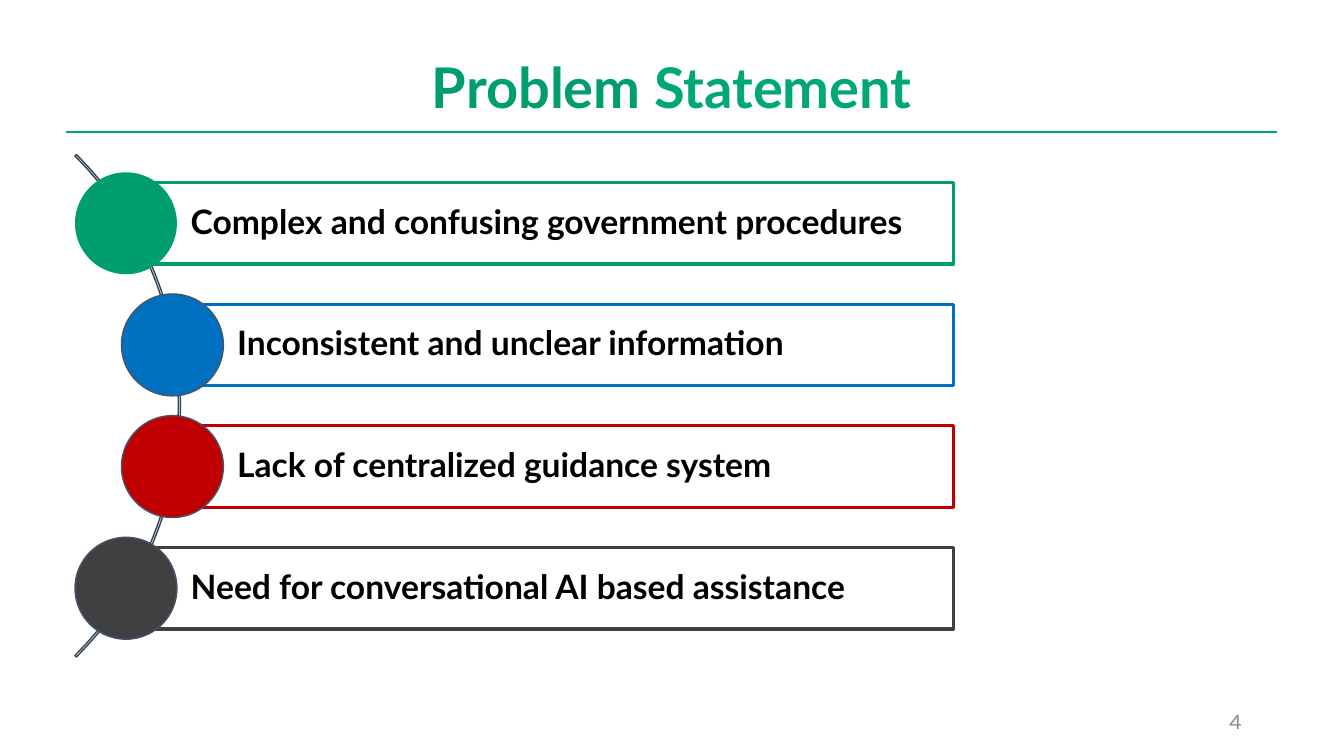
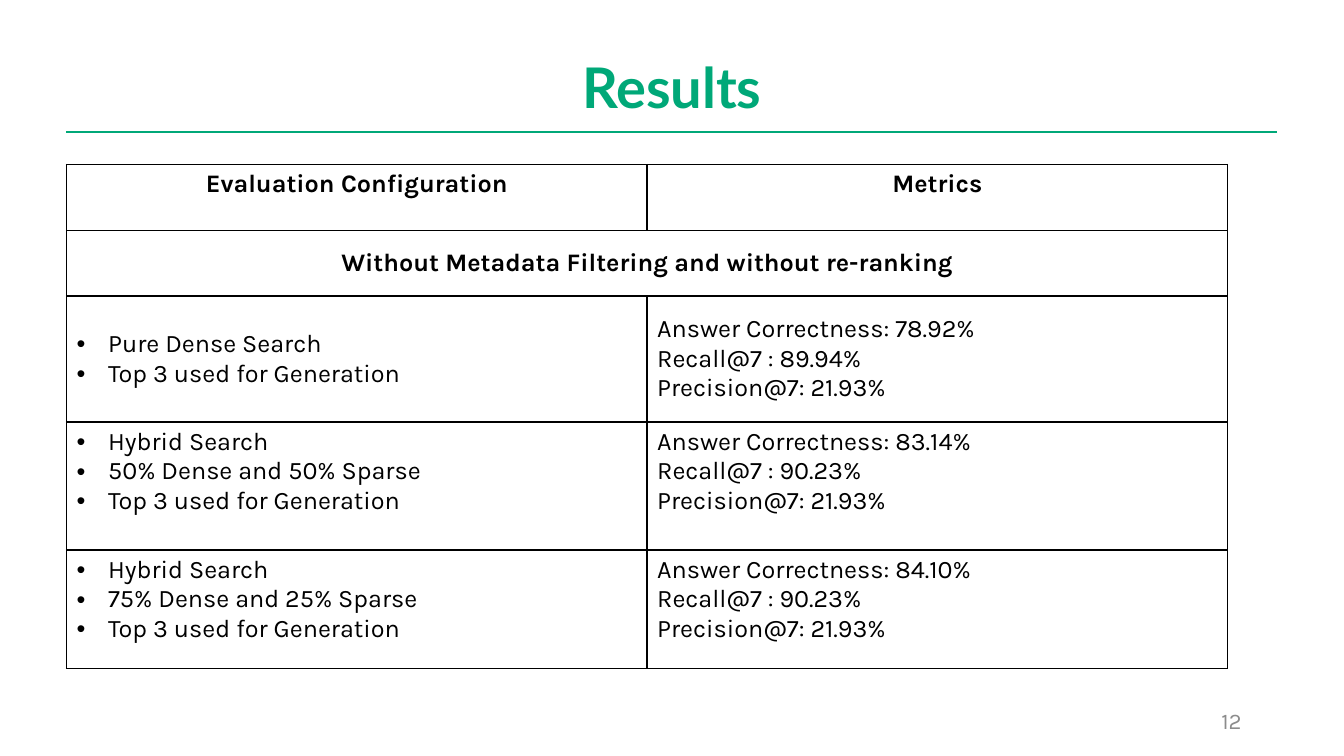
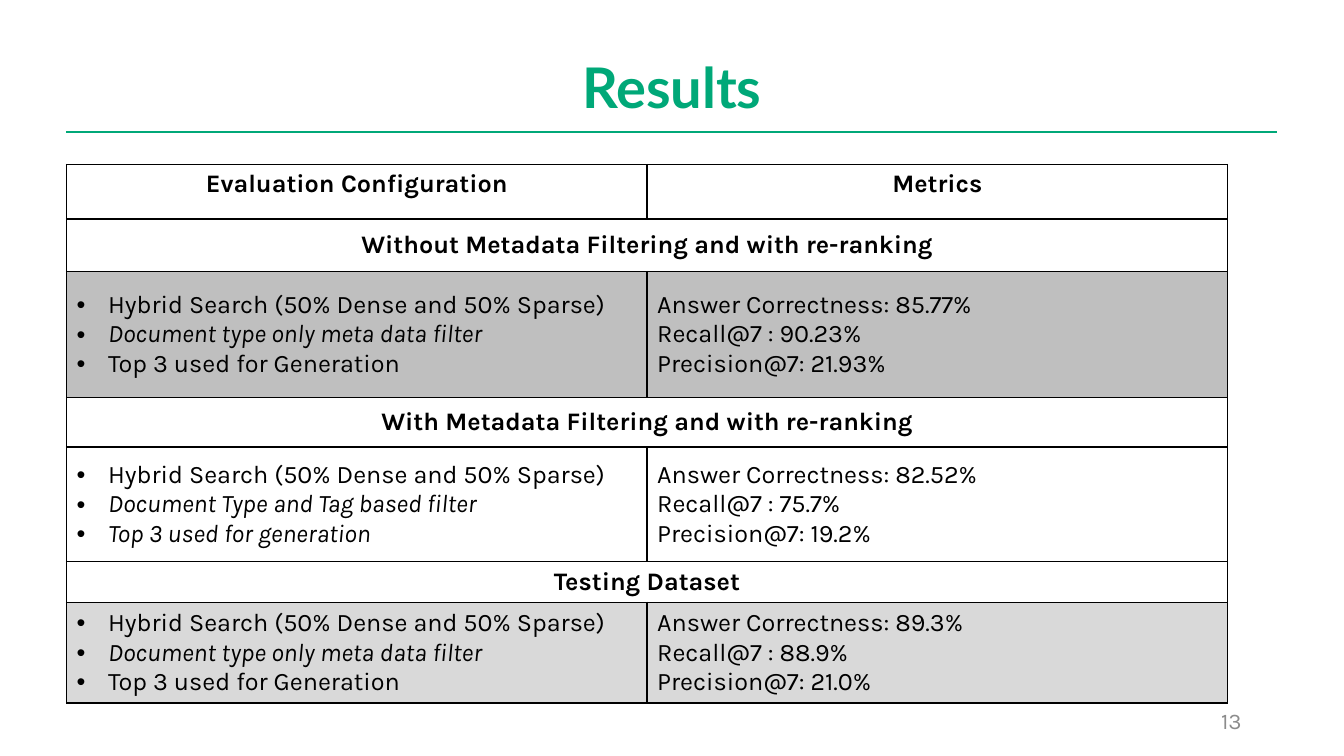
from dataclasses import dataclass

from lxml import etree
from pptx import Presentation
from pptx.dml.color import RGBColor
from pptx.enum.shapes import MSO_CONNECTOR, MSO_SHAPE
from pptx.enum.text import MSO_ANCHOR, PP_ALIGN
from pptx.oxml.ns import qn
from pptx.slide import Slide
from pptx.table import _Cell
from pptx.text.text import TextFrame, _Paragraph
from pptx.util import Pt

LINE = MSO_CONNECTOR.STRAIGHT
RECT, OVAL, ARC = MSO_SHAPE.RECTANGLE, MSO_SHAPE.OVAL, MSO_SHAPE.BLOCK_ARC
TOP, MIDDLE = MSO_ANCHOR.TOP, MSO_ANCHOR.MIDDLE
LEFT, CENTER, RIGHT = PP_ALIGN.LEFT, PP_ALIGN.CENTER, PP_ALIGN.RIGHT

GREEN = RGBColor(0x00, 0xA8, 0x78)
FOREST = RGBColor(0x00, 0x9E, 0x6F)
BLUE = RGBColor(0x00, 0x70, 0xC0)
RED = RGBColor(0xC0, 0x00, 0x00)
DARK = RGBColor(0x40, 0x40, 0x40)
SLATE = RGBColor(0x44, 0x54, 0x6A)
NAVY = RGBColor(0x36, 0x43, 0x55)
BLACK = RGBColor(0x00, 0x00, 0x00)
GRAY = RGBColor(0x8C, 0x8C, 0x8C)
SILVER = RGBColor(0xBF, 0xBF, 0xBF)
PALE = RGBColor(0xD9, 0xD9, 0xD9)

HEAD, BODY = "Lato", "Karla"
EDGE, WIDTH, RULE = 47.5, 864.7, 94.3  # left, width and height of the title rule

BAR_END, BAR_H, BALL = 681.1, 58.2, 72.8
BAR_MID, PITCH = 159.5, 86.9  # centre of the first bar, step to the next
RING_X, RING_Y, RING = -378.7, 36, 507.6

GRID_TOP, COLUMN, INDENT = 117.4, 414.7, 22.5


@dataclass
class Issue:
    text: str
    left: float
    color: RGBColor
    rim: RGBColor | None = SLATE


@dataclass
class Band:
    """A table row with one heading across both columns."""
    height: float
    text: str


@dataclass
class Result:
    height: float
    setup: tuple[str, ...]
    scores: tuple[str, str, str]
    fill: RGBColor | None = None
    anchor: MSO_ANCHOR = MIDDLE
    slant: tuple[int, ...] = ()  # setup lines in italics


@dataclass
class Report:
    page: int
    top: float  # height of the header row
    rows: list[Band | Result]


ISSUES = [
    Issue("Complex and confusing government procedures", 90, FOREST, None),
    Issue("Inconsistent and unclear information", 123.2, BLUE),
    Issue("Lack of centralized guidance system", 123.2, RED),
    Issue("Need for conversational AI based assistance", 90, DARK),
]

TOP_3 = "Top 3 used for Generation"
HYBRID = "Hybrid Search"
EVEN = "Hybrid Search (50% Dense and 50% Sparse)"
BY_TYPE = (EVEN, "Document type only meta data filter", TOP_3)
BY_TAG = (EVEN, "Document Type and Tag based filter", "Top 3 used for generation")

REPORTS = [
    Report(12, 47, [
        Band(47, "Without Metadata Filtering and without re-ranking"),
        Result(90, ("Pure Dense Search", TOP_3), ("78.92", "89.94", "21.93")),
        Result(91.5, (HYBRID, "50% Dense and 50% Sparse", TOP_3),
               ("83.14", "90.23", "21.93"), anchor=TOP),
        Result(84.4, (HYBRID, "75% Dense and 25% Sparse", TOP_3),
               ("84.10", "90.23", "21.93"), anchor=TOP),
    ]),
    Report(13, 39, [
        Band(37.5, "Without Metadata Filtering and with re-ranking"),
        Result(90, BY_TYPE, ("85.77", "90.23", "21.93"), SILVER, slant=(1,)),
        Band(35.5, "With Metadata Filtering and with re-ranking"),
        Result(82, BY_TAG, ("82.52", "75.7", "19.2"), slant=(1, 2)),
        Band(28.3, "Testing Dataset"),
        Result(70.5, BY_TYPE, ("89.3", "88.9", "21.0"), PALE, slant=(1,)),
    ]),
]


def style(para: _Paragraph, face: str, size: float, color: RGBColor | None,
          bold: bool = False, align: PP_ALIGN = LEFT) -> None:
    para.alignment = align
    font = para.font
    font.name, font.size, font.bold = face, Pt(size), bold
    if color is not None:
        font.color.rgb = color


def add_box(slide: Slide, x: float, y: float, w: float, h: float) -> TextFrame:
    frame = slide.shapes.add_textbox(Pt(x), Pt(y), Pt(w), Pt(h)).text_frame
    frame.word_wrap = True
    frame.vertical_anchor = MIDDLE
    return frame


def add_shape(slide: Slide, kind: MSO_SHAPE, x: float, y: float, w: float, h: float,
              fill: RGBColor | None, line: RGBColor | None, weight: float = 1):
    shape = slide.shapes.add_shape(kind, Pt(x), Pt(y), Pt(w), Pt(h))
    shape.shadow.inherit = False
    paint(shape.fill, fill)
    paint(shape.line.fill, line)
    if line is not None:
        shape.line.width = Pt(weight)
    return shape


def paint(fill, color: RGBColor | None) -> None:
    if color is None:
        fill.background()
    else:
        fill.solid()
        fill.fore_color.rgb = color


def add_page(deck, number: int, title: list[tuple[str, RGBColor]]) -> Slide:
    """Add a slide with the shared title, rule and page number."""
    slide = deck.slides.add_slide(deck.slide_layouts[6])
    rule = slide.shapes.add_connector(LINE, Pt(EDGE), Pt(RULE), Pt(EDGE + WIDTH), Pt(RULE))
    rule.line.color.rgb = GREEN
    rule.line.width = Pt(2)
    etree.SubElement(rule._element.spPr, qn("a:effectLst"))

    para = add_box(slide, EDGE, 35.3, WIDTH, 59).paragraphs[0]
    style(para, HEAD, 40, None, True, CENTER)
    para.line_spacing = 0.9
    for text, color in title:
        run = para.add_run()
        run.text = text
        run.font.color.rgb = color

    para = add_box(slide, 678, 500.5, 216, 28.8).paragraphs[0]
    para.text = str(number)
    style(para, BODY, 16, GRAY, align=RIGHT)
    return slide


def add_issue(slide: Slide, issue: Issue, mid: float) -> None:
    """Draw a labelled bar with a ball centred on its left end."""
    bar = add_shape(slide, RECT, issue.left, mid - BAR_H / 2, BAR_END - issue.left, BAR_H,
                    None, issue.color, 2.25)
    frame = bar.text_frame
    frame.word_wrap = True
    frame.vertical_anchor = MIDDLE
    frame.margin_left = Pt(46.2)
    frame.margin_right = frame.margin_top = frame.margin_bottom = Pt(5)
    para = frame.paragraphs[0]
    para.text = issue.text
    para.line_spacing = 0.9
    style(para, HEAD, 24, BLACK, True)
    add_shape(slide, OVAL, issue.left - BALL / 2, mid - BALL / 2, BALL, BALL,
              issue.color, issue.rim)


def add_bullet(para: _Paragraph) -> None:
    props = para._p.get_or_add_pPr()
    props.set("marL", str(Pt(INDENT)))
    props.set("indent", str(-Pt(INDENT)))
    etree.SubElement(props, qn("a:buFont")).set("typeface", "Arial")
    etree.SubElement(props, qn("a:buChar")).set("char", "•")


def add_border(cell: _Cell) -> None:
    props = cell._tc.get_or_add_tcPr()
    for index, side in enumerate("LRTB"):
        line = etree.Element(qn(f"a:ln{side}"), w=str(Pt(1)))
        fill = etree.SubElement(line, qn("a:solidFill"))
        etree.SubElement(fill, qn("a:srgbClr")).set("val", str(BLACK))
        props.insert(index, line)


def fill_cell(cell: _Cell, lines: tuple[str, ...], anchor: MSO_ANCHOR, head: bool = False,
              bullet: bool = False, slant: tuple[int, ...] = ()) -> None:
    cell.vertical_anchor = anchor
    frame = cell.text_frame
    for index, text in enumerate(lines):
        para = frame.add_paragraph() if index else frame.paragraphs[0]
        para.text = text
        if bullet:
            add_bullet(para)
        style(para, BODY, 18, BLACK, head, CENTER if head else LEFT)
        para.font.italic = index in slant


def add_grid(slide: Slide, report: Report) -> None:
    heights = [report.top] + [row.height for row in report.rows]
    table = slide.shapes.add_table(len(heights), 2, Pt(EDGE), Pt(GRID_TOP),
                                   Pt(2 * COLUMN), Pt(sum(heights))).table
    table.first_row = table.horz_banding = False
    for column in table.columns:
        column.width = Pt(COLUMN)
    for row, height in zip(table.rows, heights):
        row.height = Pt(height)
    for cell, text in zip(table.rows[0].cells, ("Evaluation Configuration", "Metrics")):
        fill_cell(cell, (text,), TOP, head=True)
        paint(cell.fill, None)
        add_border(cell)

    for index, row in enumerate(report.rows, 1):
        left, right = table.cell(index, 0), table.cell(index, 1)
        shade = None
        if isinstance(row, Band):
            left.merge(right)
            fill_cell(left, (row.text,), MIDDLE, head=True)
        else:
            shade = row.fill
            correct, recall, exact = row.scores
            scores = (f"Answer Correctness: {correct}%", f"Recall@7 : {recall}%",
                      f"Precision@7: {exact}%")
            fill_cell(left, row.setup, row.anchor, bullet=True, slant=row.slant)
            fill_cell(right, scores, row.anchor)
        for cell in (left, right):
            paint(cell.fill, shade)
            add_border(cell)


def main() -> None:
    deck = Presentation()
    deck.slide_width, deck.slide_height = Pt(960), Pt(540)

    slide = add_page(deck, 4, [("Problem ", FOREST), ("Statement", GREEN)])
    ring = add_shape(slide, ARC, RING_X, RING_Y, RING, RING, None, NAVY)
    for index, value in enumerate((189, 27, 0.003)):
        ring.adjustments[index] = value
    for index, issue in enumerate(ISSUES):
        add_issue(slide, issue, BAR_MID + index * PITCH)

    for report in REPORTS:
        add_grid(add_page(deck, report.page, [("Results", GREEN)]), report)

    deck.save("out.pptx")


if __name__ == "__main__":
    main()
